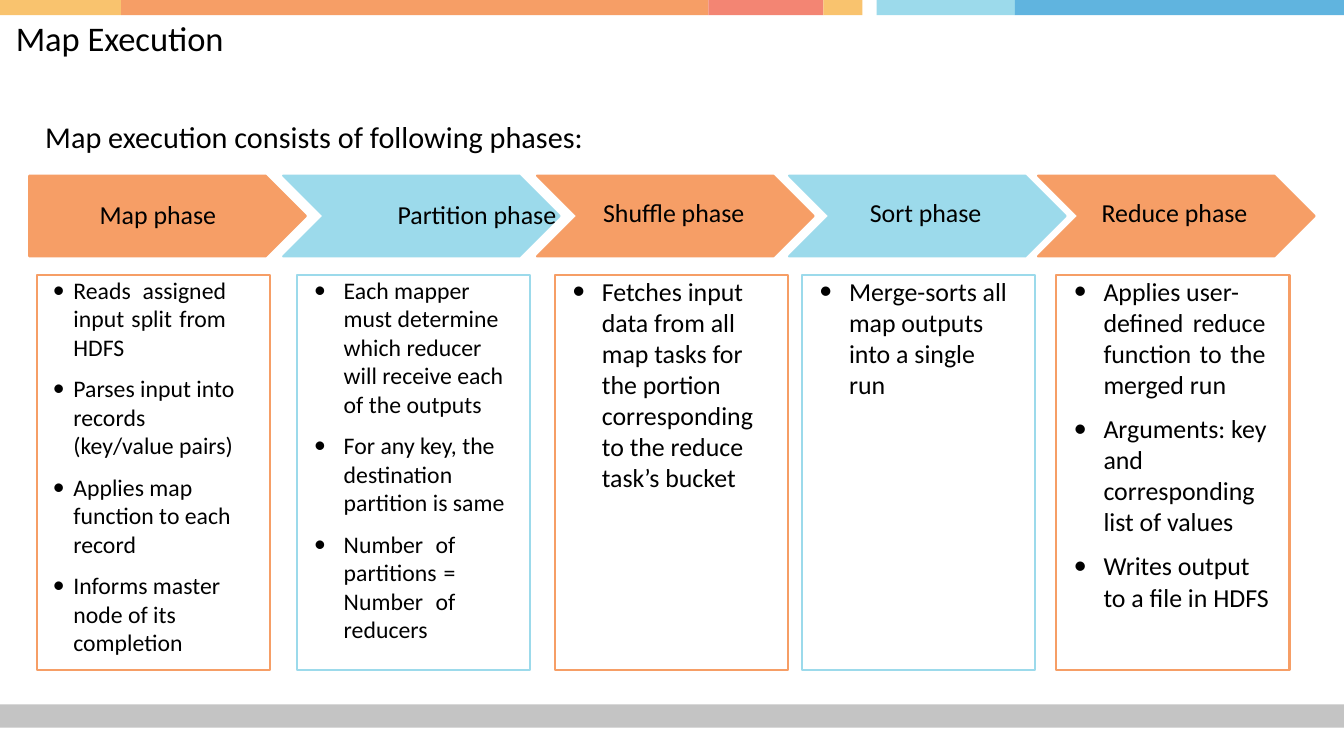
from dataclasses import dataclass

from lxml import etree
from pptx import Presentation
from pptx.dml.color import RGBColor
from pptx.enum.shapes import MSO_SHAPE
from pptx.enum.text import MSO_ANCHOR, PP_ALIGN
from pptx.oxml.ns import qn
from pptx.util import Cm, Pt

RECTANGLE = MSO_SHAPE.RECTANGLE
PENTAGON = MSO_SHAPE.PENTAGON
CHEVRON = MSO_SHAPE.CHEVRON
TOP = MSO_ANCHOR.TOP
LEFT = PP_ALIGN.LEFT
JUSTIFY = PP_ALIGN.JUSTIFY

FONT = "Calibri"
BLACK = "000000"
GREY = "C4C4C4"
ORANGE = "F69E66"
YELLOW = "F9C36E"
CORAL = "F38573"
AQUA = "9CDAEB"
BLUE = "60B4DF"

WIDTH, HEIGHT = 21.97, 11.91
STRIP = [
    (0, 1.98, YELLOW),
    (1.98, 11.58, ORANGE),
    (11.58, 13.46, CORAL),
    (13.46, 14.1, YELLOW),
    (14.33, 16.59, AQUA),
    (16.59, WIDTH, BLUE),
]


@dataclass
class Line:
    text: str
    right: float = 0
    bullet: bool = True
    align: int = LEFT


@dataclass
class Phase:
    name: str
    arrow_left: float
    label_left: float
    label_top: float
    card_left: float
    size: int
    indent: float
    hanging: float
    lines: list


PHASES = [
    Phase("Map phase", 0.48, 1.63, 3.25, 0.61, 11, 0.59, 0.33, [
        Line("Reads assigned input split from HDFS", 0.72, align=JUSTIFY),
        Line("Parses input into records (key/value pairs)", 0.5),
        Line("Applies map function to each record", 0.5),
        Line("Informs master node of its completion", 0.5),
    ]),
    Phase("Partition phase", 4.63, 6.5, 3.25, 4.85, 11, 0.77, 0.48, [
        Line("Each mapper must determine which reducer\v"
             "will receive each of the outputs", 0.36),
        Line("For any key, the destination partition is same", 0.36),
        Line("Number of partitions = Number of reducers", 1.21, align=JUSTIFY),
    ]),
    Phase("Shuffle phase", 8.78, 9.86, 3.22, 9.07, 12, 0.77, 0.48, [
        Line("Fetches input data from all map tasks for", 0.3),
        Line("the portion corresponding to the reduce task’s bucket", 0.3, False),
    ]),
    Phase("Sort phase", 12.9, 14.22, 3.22, 13.11, 12, 0.77, 0.48, [
        Line("Merge-sorts all"),
        Line("map outputs into a single run", 0.7, False),
    ]),
    Phase("Reduce phase", 16.97, 18.01, 3.22, 17.27, 12, 0.77, 0.48, [
        Line("Applies user-"),
        Line("defined reduce function to the merged run", 0.39, False, JUSTIFY),
        Line("Arguments: key and corresponding list of values"),
        Line("Writes output"),
        Line("to a file in HDFS", 0, False, JUSTIFY),
    ]),
]


def color(value):
    return RGBColor.from_string(value)


def add_block(page, kind, box, fill=None, outline=None):
    shape = page.shapes.add_shape(kind, *(Cm(length) for length in box))
    shape.shadow.inherit = False
    if fill:
        shape.fill.solid()
        shape.fill.fore_color.rgb = color(fill)
    else:
        shape.fill.background()
    if outline:
        shape.line.color.rgb = color(outline)
        shape.line.width = Pt(1)
    else:
        shape.line.fill.background()
    return shape


def prepare_frame(shape):
    frame = shape.text_frame
    frame.word_wrap = True
    frame.vertical_anchor = TOP
    frame.margin_left = frame.margin_right = 0
    frame.margin_top = frame.margin_bottom = 0
    return frame


def add_span(para, text, size):
    span = para.add_run()
    span.text = text
    span.font.name = FONT
    span.font.size = Pt(size)
    span.font.color.rgb = color(BLACK)


def add_label(page, box, text, size):
    label = page.shapes.add_textbox(*(Cm(length) for length in box))
    add_span(prepare_frame(label).paragraphs[0], text, size)


def format_line(para, line, phase):
    properties = para._p.get_or_add_pPr()
    properties.set("marL", str(Cm(phase.indent)))
    properties.set("marR", str(Cm(line.right)))
    properties.set("indent", str(-Cm(phase.hanging) if line.bullet else 0))
    if line.bullet:
        etree.SubElement(properties, qn("a:buSzPct"), val="78000")
        etree.SubElement(properties, qn("a:buFont"), typeface=FONT)
        etree.SubElement(properties, qn("a:buChar"), char="●")
    else:
        etree.SubElement(properties, qn("a:buNone"))
    para.alignment = line.align


def add_card(page, box, phase, outline):
    frame = prepare_frame(add_block(page, RECTANGLE, box, outline=outline))
    for index, line in enumerate(phase.lines):
        para = frame.add_paragraph() if index else frame.paragraphs[0]
        format_line(para, line, phase)
        if phase.size == 12:
            para.line_spacing = Pt(14.4)
        if index and line.bullet:
            para.space_before = Pt(6)
        for part, text in enumerate(line.text.split("\v")):
            if part:
                para.add_line_break()
            add_span(para, text, phase.size)


def add_strip(page, top, height):
    for left, right, fill in STRIP:
        add_block(page, RECTANGLE, (left, top, right - left, height), fill)


def add_phases(page, arrow_top, card_top):
    for index, phase in enumerate(PHASES):
        accent = AQUA if index % 2 else ORANGE
        kind = CHEVRON if index else PENTAGON
        add_block(page, kind, (phase.arrow_left, arrow_top, 4.52, 1.32), accent, accent)
        add_label(page, (phase.label_left, phase.label_top, 2.8, 0.55), phase.name, 12)
        add_card(page, (phase.card_left, card_top, 3.81, 6.45), phase, accent)


def main():
    deck = Presentation()
    deck.slide_width, deck.slide_height = Cm(WIDTH), Cm(HEIGHT)
    page = deck.slides.add_slide(deck.slide_layouts[6])
    add_block(page, RECTANGLE, (0, 11.51, WIDTH, 0.38), GREY)
    add_strip(page, 0, 0.25)
    add_label(page, (0.26, 0.28, 21.5, 0.74), "Map Execution", 16)
    add_label(page, (0.74, 1.93, 12, 0.65), "Map execution consists of following phases:", 14)
    add_phases(page, 2.87, 4.5)
    deck.save("out.pptx")


if __name__ == "__main__":
    main()
